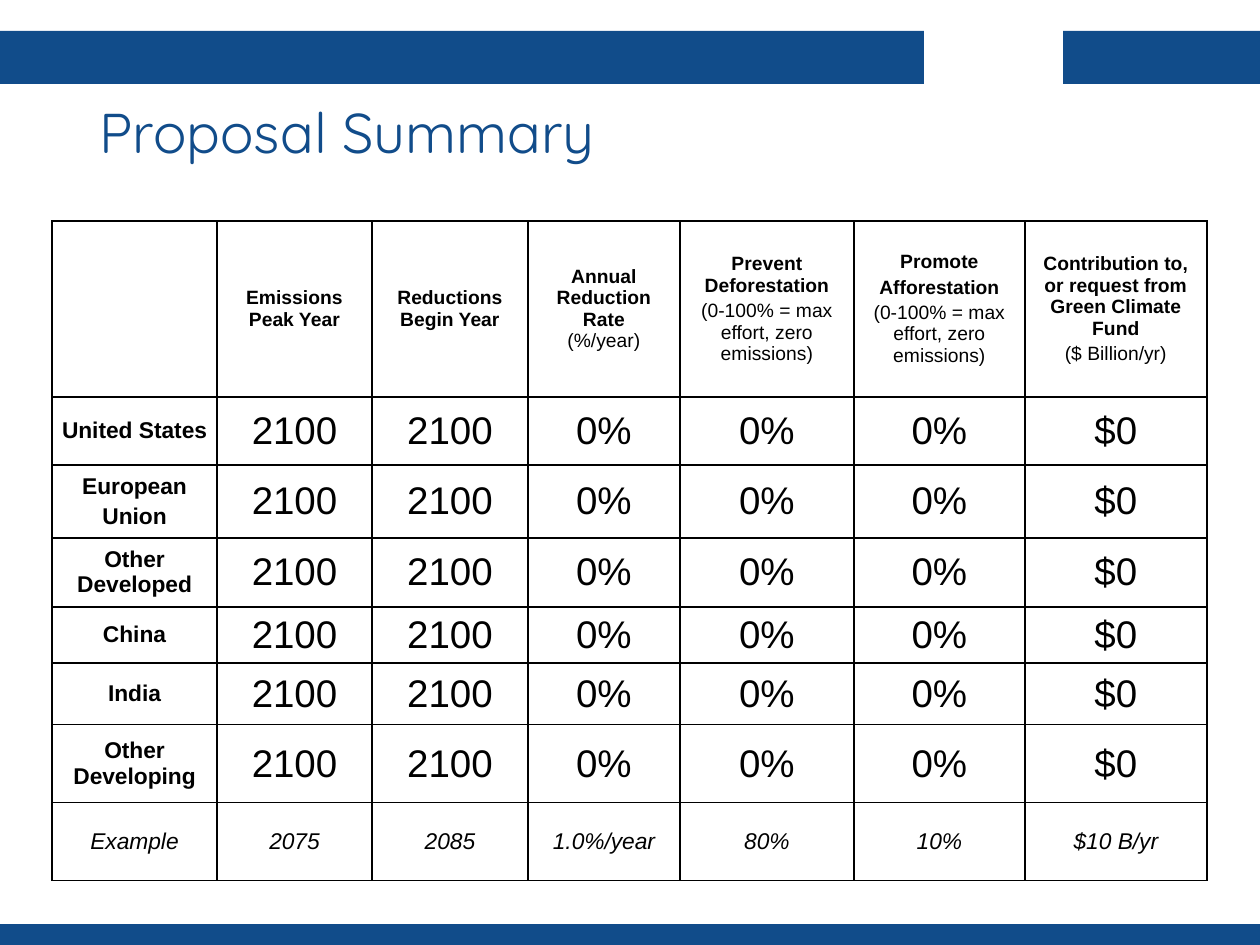
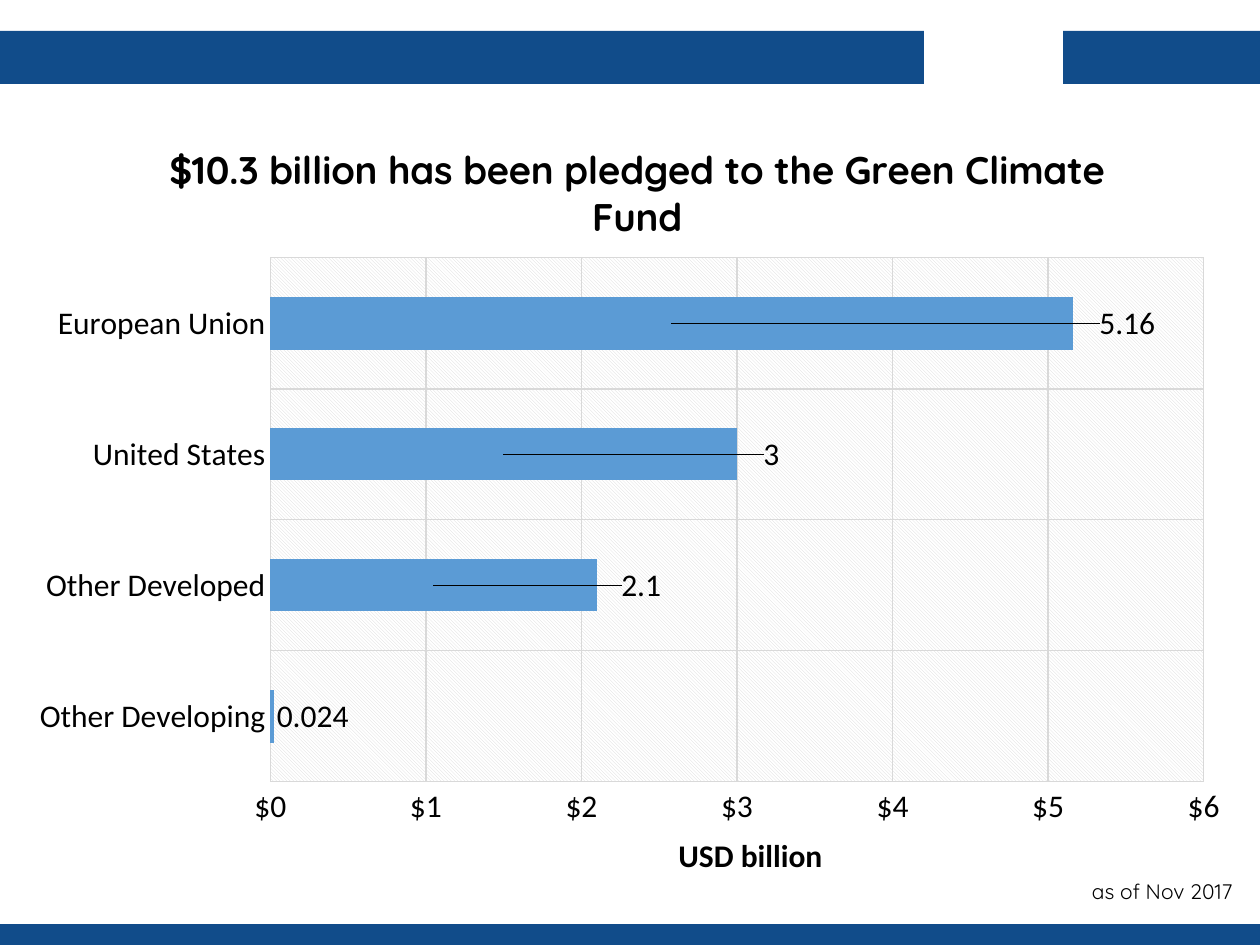
from lxml.etree import SubElement
from pptx import Presentation
from pptx.chart.data import CategoryChartData
from pptx.dml.color import RGBColor
from pptx.enum.chart import XL_CHART_TYPE, XL_LABEL_POSITION, XL_TICK_MARK
from pptx.enum.shapes import MSO_SHAPE
from pptx.enum.text import MSO_ANCHOR, PP_ALIGN
from pptx.oxml import parse_xml
from pptx.oxml.ns import nsdecls, qn
from pptx.util import Pt

# Shared look
BLUE = RGBColor(0x11, 0x4C, 0x8A)
BAR = RGBColor(0x5B, 0x9B, 0xD5)
GRID = RGBColor(0xD9, 0xD9, 0xD9)
BLACK = RGBColor(0, 0, 0)
WHITE = RGBColor(255, 255, 255)
HEAD, BODY, CELL = "Quicksand", "Calibri", "Arial"
BANDS = [(0, 31, 924, 53), (1063, 31, 197, 53), (0, 924, 1260, 21)]

# Proposal table: a header is a list of paragraphs, each a list of (line, bold)
EFFORT = [("(0-100% = max effort, zero emissions)", False)]
HEADERS = [
    [],
    [[("Emissions Peak Year", True)]],
    [[("Reductions Begin Year", True)]],
    [[("Annual Reduction Rate", True), ("(%/year)", False)]],
    [[("Prevent Deforestation", True)], EFFORT],
    [[("Promote", True)], [("Afforestation", True)], EFFORT],
    [[("Contribution to, or request from Green Climate Fund", True)],
     [("($ Billion/yr)", False)]],
]
REGIONS = [["United States"], ["European", "Union"], ["Other Developed"],
           ["China"], ["India"], ["Other Developing"]]
START = ["2100", "2100", "0%", "0%", "0%", "$0"]
SAMPLE = ["Example", "2075", "2085", "1.0%/year", "80%", "10%", "$10 B/yr"]
COLS = [165, 155, 156, 152, 174, 171, 182]
ROWS = [176, 68, 73, 69, 56, 62, 78, 78]

# Pledges: region, value, label shift from the bar's middle (share of width)
PLEDGES = [("Other Developing", 0.024, 0.033), ("Other Developed", 2.1, 0.169),
           ("United States", 3, 0.218), ("European Union", 5.16, 0.371)]


def px(n):
    return n * 914400 // 126


def box(*sides):
    return [px(n) for n in sides]


def style(font, name, size, color=BLACK, bold=None):
    font.name, font.size, font.bold = name, Pt(size), bold
    font.color.rgb = color


def add_bands(slide):
    for sides in BANDS:
        band = slide.shapes.add_shape(MSO_SHAPE.RECTANGLE, *box(*sides))
        band.shadow.inherit = False
        band.fill.solid()
        band.fill.fore_color.rgb = BLUE
        band.line.fill.background()


def set_title(slide, text):
    title = slide.shapes.title
    title.left, title.top, title.width, title.height = box(87, 92, 1086, 86)
    title.text_frame.text = text
    title.text_frame.vertical_anchor = MSO_ANCHOR.MIDDLE
    para = title.text_frame.paragraphs[0]
    para.alignment, para.line_spacing = PP_ALIGN.LEFT, 0.9
    style(para.font, HEAD, 32, BLUE)


def add_note(slide, sides, text, align, name, size, bold=False):
    frame = slide.shapes.add_textbox(*box(*sides)).text_frame
    frame.word_wrap = True
    para = frame.paragraphs[0]
    para.text, para.alignment = text, align
    style(para.font, name, size, bold=bold)


def add_edges(cell):
    props = cell._tc.get_or_add_tcPr()
    for i, side in enumerate("LRTB"):
        props.insert(i, parse_xml(
            f'<a:ln{side} {nsdecls("a")} w="12700"><a:solidFill>'
            f'<a:srgbClr val="{BLACK}"/></a:solidFill></a:ln{side}>'))


def fill_cell(cell, paras, size, italic=False):
    cell.fill.solid()
    cell.fill.fore_color.rgb = WHITE
    add_edges(cell)
    cell.vertical_anchor = MSO_ANCHOR.MIDDLE
    cell.margin_left = cell.margin_right = px(10)
    cell.margin_top = cell.margin_bottom = px(5)
    frame = cell.text_frame
    for i, lines in enumerate(paras):
        para = frame.add_paragraph() if i else frame.paragraphs[0]
        para.alignment = PP_ALIGN.CENTER
        if i:
            para.space_before = Pt(size * 0.2)
        style(para.font, CELL, size)
        para.font.italic = italic
        for j, (text, bold) in enumerate(lines):
            if j:
                para.add_line_break()
            run = para.add_run()
            run.text, run.font.bold = text, bold


def add_grid(slide):
    table = slide.shapes.add_table(
        len(ROWS), len(COLS), *box(52, 221, sum(COLS), sum(ROWS))).table
    table.first_row = table.horz_banding = False
    for col, width in zip(table.columns, COLS):
        col.width = px(width)
    for row, height in zip(table.rows, ROWS):
        row.height = px(height)
    for c, paras in enumerate(HEADERS):
        fill_cell(table.cell(0, c), paras, 11)
    for r, names in enumerate(REGIONS, 1):
        fill_cell(table.cell(r, 0), [[(name, True)] for name in names], 13)
        for c, value in enumerate(START, 1):
            fill_cell(table.cell(r, c), [[(value, False)]], 22)
    for c, value in enumerate(SAMPLE):
        fill_cell(table.cell(len(ROWS) - 1, c), [[(value, False)]], 13, True)


def layout(inner=False, **places):
    node = parse_xml(f'<c:layout {nsdecls("c")}><c:manualLayout/></c:layout>')
    tags = {"layoutTarget": "inner"} if inner else {}
    if inner or "mode" in places:
        places.pop("mode", None)
        tags.update(xMode="edge", yMode="edge")
    for tag, value in {**tags, **places}.items():
        SubElement(node[0], qn(f"c:{tag}")).set("val", str(value))
    return node


def place(parent, node, index):
    for old in parent.findall(qn("c:layout")):
        parent.remove(old)
    parent.insert(index, node)


def style_axis(axis):
    axis.major_tick_mark = axis.minor_tick_mark = XL_TICK_MARK.NONE
    axis.has_major_gridlines = True
    style(axis.tick_labels.font, BODY, 18)
    for line in (axis.format.line, axis.major_gridlines.format.line):
        line.color.rgb = GRID
        line.width = Pt(0.75)


def add_bars(slide):
    names, values, shifts = zip(*PLEDGES)
    data = CategoryChartData()
    data.categories = names
    data.add_series("Series 1", values)
    chart = slide.shapes.add_chart(
        XL_CHART_TYPE.BAR_STACKED, *box(15, 105, 1228, 735), data).chart
    style(chart.font, BODY, 18)
    chart.has_legend = False

    # Heading
    chart.has_title = True
    para = chart.chart_title.text_frame.paragraphs[0]
    para.text = "$10.3 billion has been pledged to the Green Climate Fund"
    style(para.font, HEAD, 22, bold=True)
    place(chart.chart_title._element, layout(mode="edge", x=0.12, y=0.04), 1)

    # Axes
    style_axis(chart.category_axis)
    scale = chart.value_axis
    style_axis(scale)
    scale.minimum_scale, scale.maximum_scale, scale.major_unit = 0, 6, 1
    scale.tick_labels.number_format = '"$"#,##0'
    scale.tick_labels.number_format_is_linked = False

    # Bars and their labels
    plot = chart.plots[0]
    plot.gap_width, plot.overlap, plot.vary_by_categories = 150, 100, False
    bars = plot.series[0]
    bars.format.fill.solid()
    bars.format.fill.fore_color.rgb = BAR
    for i, shift in enumerate(shifts):
        label = bars.points[i].data_label
        style(label.font, BODY, 18)
        label.position = XL_LABEL_POSITION.CENTER
    for node, shift in zip(bars._element.iter(qn("c:dLbl")), shifts):
        place(node, layout(x=shift, y=0), 1)

    # Hatched plot area
    area = chart._chartSpace.chart.plotArea
    place(area, layout(inner=True, x=0.208, y=0.208, w=0.76, h=0.713), 0)
    area.append(parse_xml(
        f'<c:spPr {nsdecls("c", "a")}><a:pattFill prst="ltDnDiag">'
        f'<a:fgClr><a:srgbClr val="{GRID}"/></a:fgClr>'
        f'<a:bgClr><a:srgbClr val="{WHITE}"/></a:bgClr>'
        '</a:pattFill></c:spPr>'))


def main():
    deck = Presentation()
    deck.slide_width, deck.slide_height = box(1260, 945)

    # Proposal summary
    slide = deck.slides.add_slide(deck.slide_layouts[5])
    add_bands(slide)
    set_title(slide, "Proposal Summary")
    add_grid(slide)

    # Pledges to the fund
    slide = deck.slides.add_slide(deck.slide_layouts[6])
    add_bands(slide)
    add_bars(slide)
    add_note(slide, (935, 872, 310, 38), "as of Nov 2017",
             PP_ALIGN.RIGHT, HEAD, 12)
    add_note(slide, (651, 830, 199, 50), "USD billion",
             PP_ALIGN.CENTER, BODY, 18, True)

    deck.save("out.pptx")


if __name__ == "__main__":
    main()
